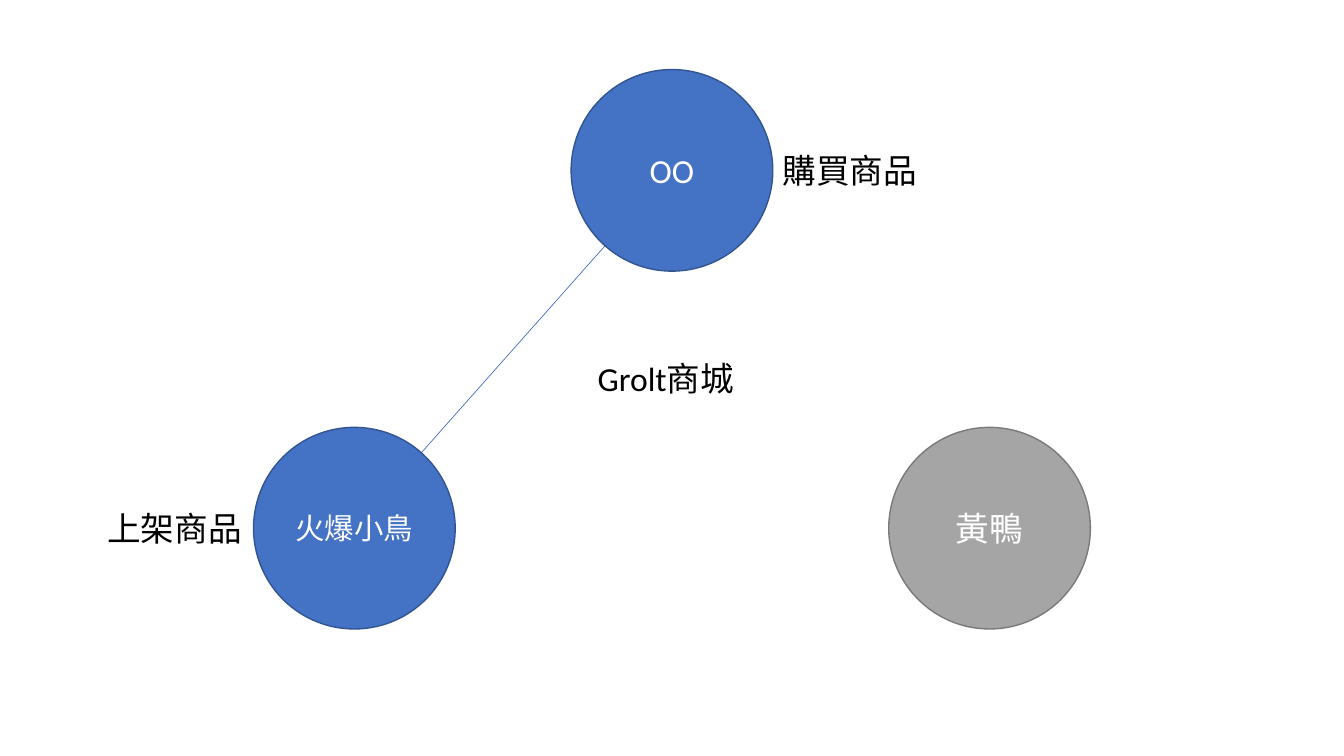
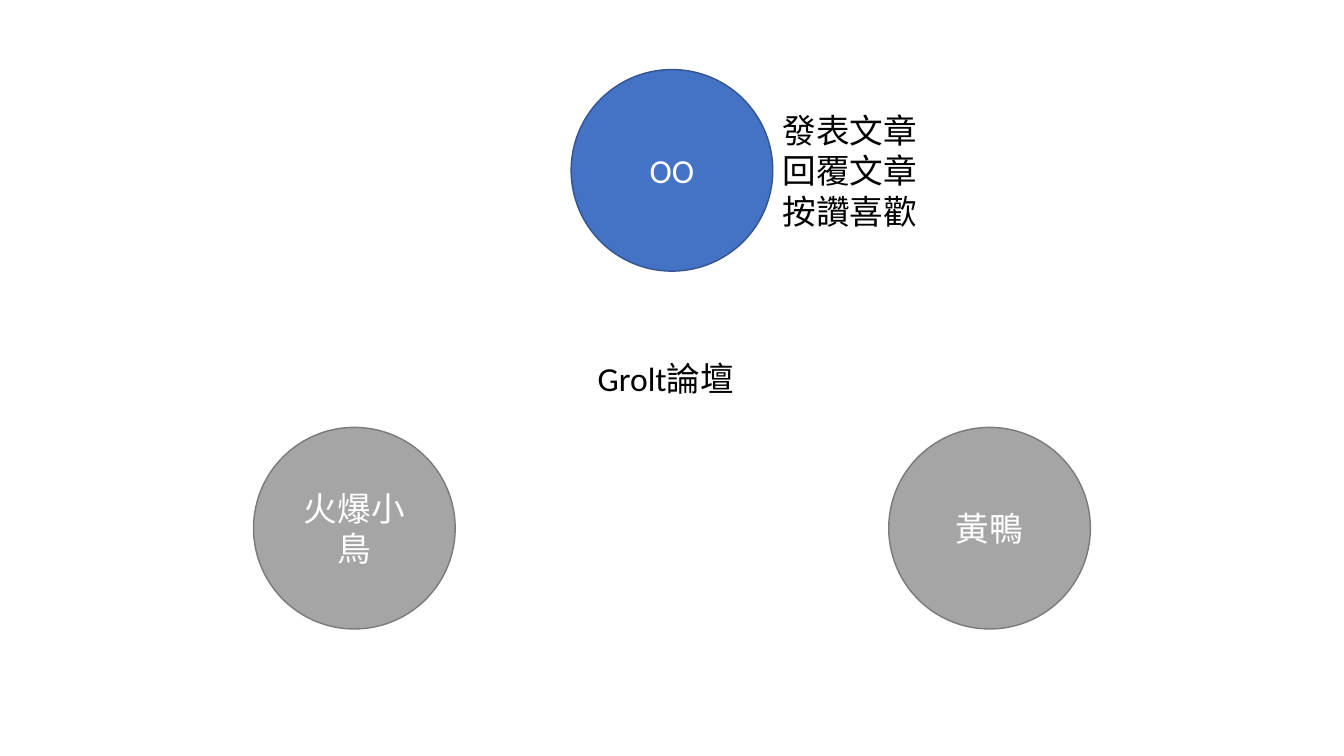
"""Build two slides showing which members take part in a shop and in a forum."""
from lxml.etree import SubElement
from pptx import Presentation
from pptx.dml.color import RGBColor
from pptx.enum.shapes import MSO_CONNECTOR as Connector, MSO_SHAPE as Shape
from pptx.enum.text import MSO_ANCHOR as Anchor, MSO_AUTO_SIZE as AutoSize, PP_ALIGN as Align
from pptx.oxml.ns import qn
from pptx.util import Inches, Pt

WIDTH, HEIGHT = 13.33, 7.5
FONT, TEXT_SIZE = "Calibri", 24
BLUE, BLUE_EDGE = RGBColor(0x44, 0x72, 0xC4), RGBColor(0x32, 0x54, 0x91)
GRAY, GRAY_EDGE = RGBColor(0xA5, 0xA5, 0xA5), RGBColor(0x7A, 0x7A, 0x7A)
WHITE, BLACK = RGBColor(0xFF, 0xFF, 0xFF), RGBColor(0, 0, 0)

RADIUS, SPREAD = 1, 3.15
MIDDLE, TOP_ROW, BOTTOM_ROW = WIDTH / 2, 1.69, 5.24
CENTERS = {
    "OO": (MIDDLE, TOP_ROW),
    "火爆小鳥": (MIDDLE - SPREAD, BOTTOM_ROW),
    "黃鴨": (MIDDLE + SPREAD, BOTTOM_ROW),
}
TITLE_WIDTH, LABEL_WIDTH = 1.67, 1.55
LINE_HEIGHT, PADDING = 0.4, 0.1

SLIDES = [
    {
        "title": "Grolt商城",
        "active": {"OO": TEXT_SIZE, "火爆小鳥": 21},
        "links": [("OO", "火爆小鳥")],
        "labels": [("火爆小鳥", "left", ["上架商品"]), ("OO", "right", ["購買商品"])],
    },
    {
        "title": "Grolt論壇",
        "active": {"OO": TEXT_SIZE},
        "links": [],
        "labels": [("OO", "right", ["發表文章", "回覆文章", "按讚喜歡"])],
    },
]


def write_lines(text_frame, lines, size, color, alignment):
    text_frame.text = "\n".join(lines)
    text_frame.word_wrap = True
    for paragraph in text_frame.paragraphs:
        paragraph.alignment = alignment
        font = paragraph.runs[0].font
        font.name, font.size, font.color.rgb = FONT, Pt(size), color


def add_link(slide, start, end):
    points = [Inches(value) for value in (*CENTERS[start], *CENTERS[end])]
    link = slide.shapes.add_connector(Connector.STRAIGHT, *points)
    link.line.color.rgb, link.line.width = BLUE, Pt(0.5)
    SubElement(link._element.spPr, qn("a:effectLst"))


def add_member(slide, name, active):
    x, y = CENTERS[name]
    box = (x - RADIUS, y - RADIUS, 2 * RADIUS, 2 * RADIUS)
    circle = slide.shapes.add_shape(Shape.OVAL, *map(Inches, box))
    circle.shadow.inherit = False
    fill, edge = (BLUE, BLUE_EDGE) if name in active else (GRAY, GRAY_EDGE)
    circle.fill.solid()
    circle.fill.fore_color.rgb = fill
    circle.line.color.rgb, circle.line.width = edge, Pt(1)
    circle.text_frame.vertical_anchor = Anchor.MIDDLE
    write_lines(circle.text_frame, [name], active.get(name, TEXT_SIZE), WHITE, Align.CENTER)


def add_text(slide, left, center_y, width, lines):
    height = PADDING + LINE_HEIGHT * len(lines)
    box = (left, center_y - height / 2, width, height)
    text_box = slide.shapes.add_textbox(*map(Inches, box))
    write_lines(text_box.text_frame, lines, TEXT_SIZE, BLACK, Align.LEFT)
    text_box.text_frame.auto_size = AutoSize.SHAPE_TO_FIT_TEXT


def build_slide(presentation, content):
    slide = presentation.slides.add_slide(presentation.slide_layouts[6])
    for start, end in content["links"]:
        add_link(slide, start, end)
    for name in CENTERS:
        add_member(slide, name, content["active"])
    add_text(slide, MIDDLE - TITLE_WIDTH / 2, HEIGHT / 2, TITLE_WIDTH, [content["title"]])
    for name, side, lines in content["labels"]:
        x, y = CENTERS[name]
        left = x + RADIUS if side == "right" else x - RADIUS - LABEL_WIDTH
        add_text(slide, left, y, LABEL_WIDTH, lines)


def main():
    presentation = Presentation()
    presentation.slide_width, presentation.slide_height = Inches(WIDTH), Inches(HEIGHT)
    for content in SLIDES:
        build_slide(presentation, content)
    presentation.save("out.pptx")


if __name__ == "__main__":
    main()
